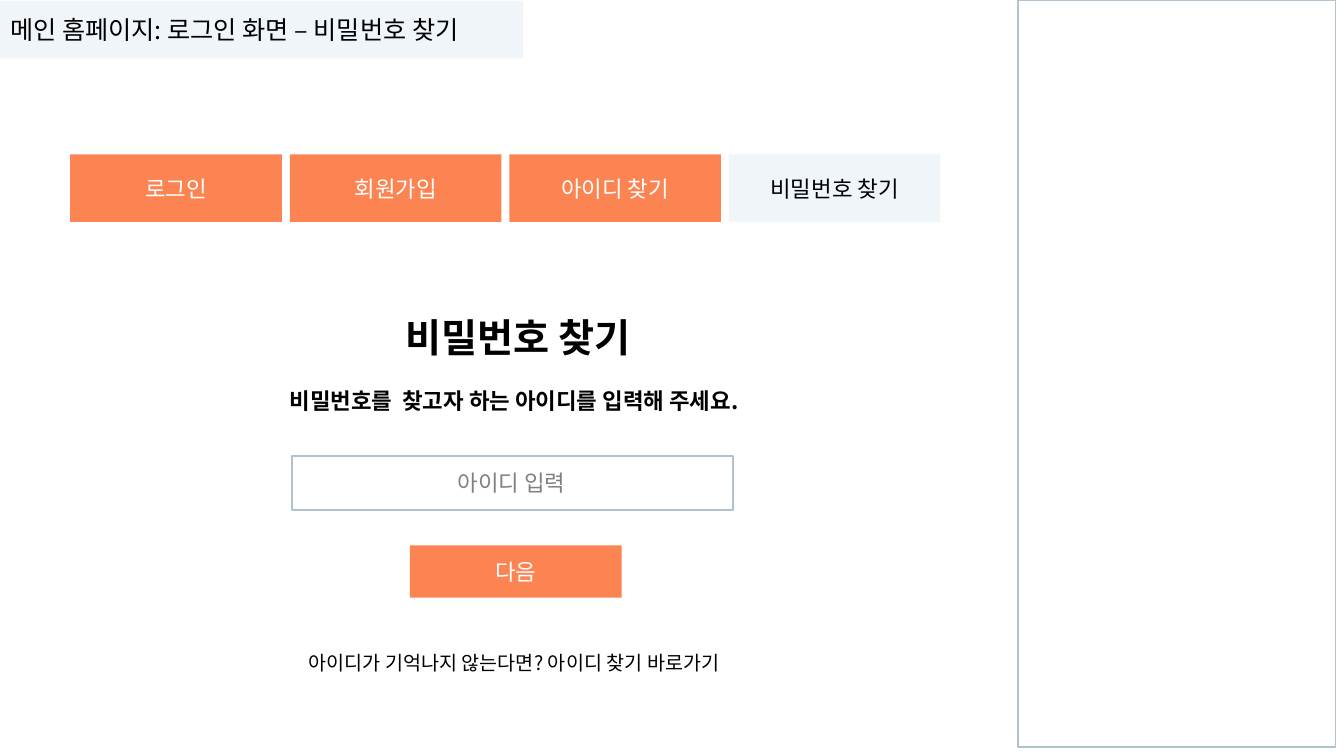
from lxml.etree import SubElement
from pptx import Presentation
from pptx.dml.color import RGBColor
from pptx.enum.shapes import MSO_SHAPE
from pptx.enum.text import MSO_ANCHOR, MSO_AUTO_SIZE, PP_ALIGN
from pptx.oxml.ns import qn
from pptx.util import Pt

FONT = "Noto Sans CJK KR"
ORANGE, PALE, OUTLINE = "FC8453", "F0F5F9", "AFC3CE"
BLACK, WHITE, GREY = "000000", "FFFFFF", "808080"


def paint(target, color):
    """Give a fill one solid colour."""
    target.solid()
    target.fore_color.rgb = RGBColor.from_string(color)


def write(box, text, size=16, color=BLACK, bold=False, align=PP_ALIGN.CENTER):
    frame = box.text_frame
    frame.word_wrap = True
    frame.auto_size = MSO_AUTO_SIZE.NONE
    frame.vertical_anchor = MSO_ANCHOR.MIDDLE
    para = frame.paragraphs[0]
    para.alignment = align
    para.line_spacing = 1.0
    span = para.add_run()
    span.text = text
    span.font.name = FONT
    span.font.size = Pt(size)
    span.font.bold = bold
    paint(span.font.fill, color)
    # Hangul takes its typeface from the East Asian slot
    SubElement(span.font._element, qn("a:ea"), typeface=FONT)


def add_label(shapes, place, text, **style):
    box = shapes.add_textbox(*map(Pt, place))
    write(box, text, **style)


def add_button(shapes, place, text, fill=ORANGE, color=WHITE):
    box = shapes.add_shape(MSO_SHAPE.RECTANGLE, *map(Pt, place))
    box.shadow.inherit = False
    paint(box.fill, fill)
    box.line.fill.background()
    write(box, text, color=color)


def add_outline(shapes, place, weight):
    box = shapes.add_shape(MSO_SHAPE.RECTANGLE, *map(Pt, place))
    box.shadow.inherit = False
    box.fill.background()
    paint(box.line.fill, OUTLINE)
    box.line.width = Pt(weight)


def set_title(page, place, text):
    title = page.shapes.title
    title.left, title.top, title.width, title.height = map(Pt, place)
    paint(title.fill, PALE)
    write(title, text, size=18, align=PP_ALIGN.LEFT)


def add_tabs(page, names, current):
    tabs = page.shapes.add_group_shape().shapes
    for index, name in enumerate(names):
        style = {"fill": PALE, "color": BLACK} if name == current else {}
        add_button(tabs, (50.2 + 156.8 * index, 110.3, 151.2, 48.2), name, **style)


def add_field(page, hint):
    field = page.shapes.add_group_shape().shapes
    add_outline(field, (208.4, 325.6, 315.4, 38.9), 1.5)
    add_label(field, (304.6, 327.6, 121.7, 34.6), hint, color=GREY)


def main():
    deck = Presentation()
    deck.slide_width, deck.slide_height = Pt(960), Pt(540)
    page = deck.slides.add_slide(deck.slide_layouts[5])
    shapes = page.shapes

    set_title(page, (0, 0.7, 373.7, 41), "메인 홈페이지: 로그인 화면 – 비밀번호 찾기")
    add_outline(shapes, (727.2, 0, 226.8, 533.5), 1)
    add_tabs(page, ["로그인", "회원가입", "아이디 찾기", "비밀번호 찾기"],
             current="비밀번호 찾기")
    add_label(shapes, (275.8, 223.2, 188.6, 34.6), "비밀번호 찾기",
              size=28, bold=True)
    add_label(shapes, (177.8, 268.6, 378.7, 34.6),
              "비밀번호를  찾고자 하는 아이디를 입력해 주세요.", bold=True)
    add_field(page, "아이디 입력")
    add_button(shapes, (292.8, 389.5, 151.2, 37.4), "다음")
    add_label(shapes, (177.8, 455.8, 378.7, 34.6),
              "아이디가 기억나지 않는다면? 아이디 찾기 바로가기", size=14)
    deck.save("out.pptx")


if __name__ == "__main__":
    main()
